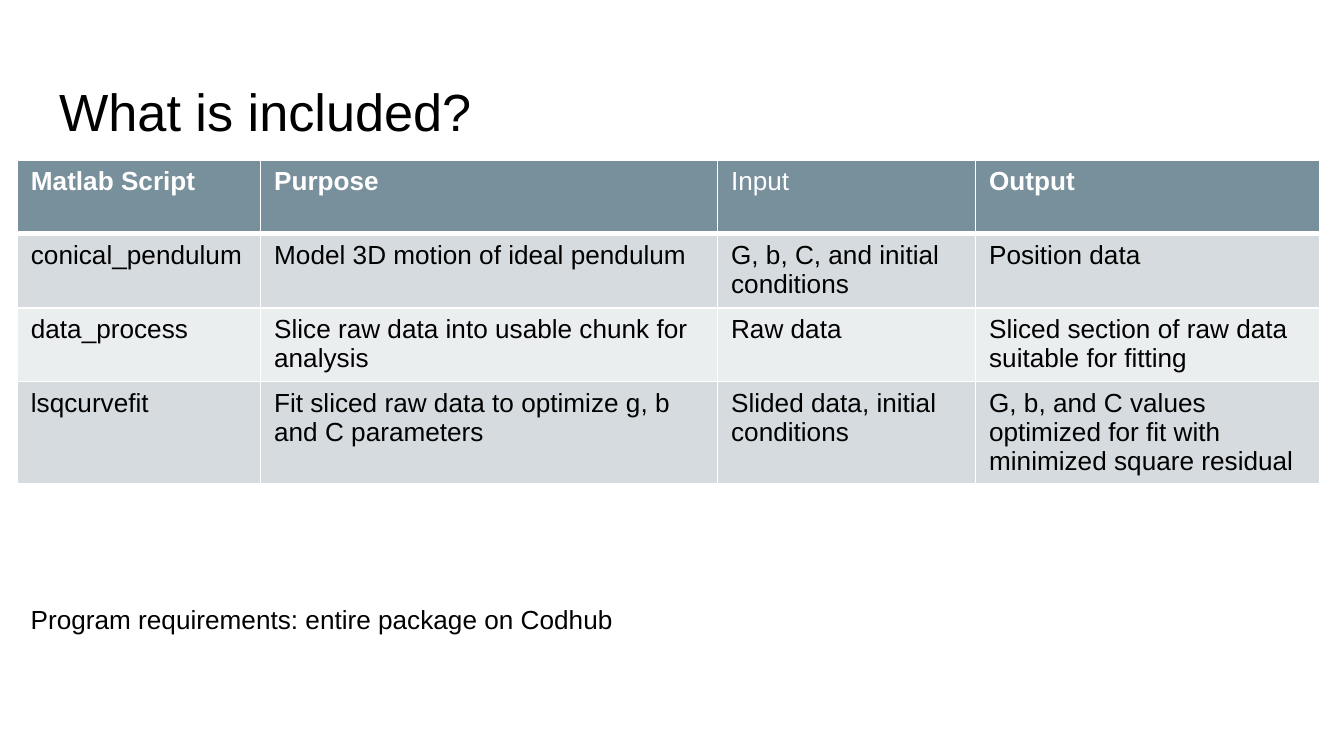
from typing import NamedTuple

from lxml import etree
from pptx import Presentation, util as u
from pptx.dml.color import RGBColor
from pptx.enum import text
from pptx.oxml import ns

WHITE = RGBColor(0xFF, 0xFF, 0xFF)
BLACK = RGBColor(0x00, 0x00, 0x00)
HEADER = RGBColor(0x78, 0x90, 0x9C)
BAND_DARK = RGBColor(0xD5, 0xDB, 0xDE)
BAND_LIGHT = RGBColor(0xEB, 0xEE, 0xEF)
FONT = "Arial"
ROW_HEIGHT = 0.55


class Script(NamedTuple):
    name: str
    purpose: str
    needs: str
    output: str


class Widths(NamedTuple):
    name: float
    purpose: float
    needs: float
    output: float


HEADINGS = Script("Matlab Script", "Purpose", "Input", "Output")
SCRIPTS = [
    Script("conical_pendulum", "Model 3D motion of ideal pendulum",
           "G, b, C, and initial conditions", "Position data"),
    Script("data_process", "Slice raw data into usable chunk for analysis",
           "Raw data", "Sliced section of raw data suitable for fitting"),
    Script("lsqcurvefit", "Fit sliced raw data to optimize g, b and C parameters",
           "Slided data, initial conditions",
           "G, b, and C values optimized for fit with minimized square residual"),
]
COLUMN_WIDTHS = Widths(1.81, 3.4, 1.92, 2.56)


def style(para, size: int, color: RGBColor, bold: bool = False) -> None:
    para.font.name = FONT
    para.font.size = u.Pt(size)
    para.font.bold = bold
    para.font.color.rgb = color


def set_border(cell, side: str, points: int) -> None:
    properties = cell._tc.get_or_add_tcPr()
    line = etree.Element(ns.qn(f"a:ln{side}"), w=str(u.Pt(points)))
    fill = etree.SubElement(line, ns.qn("a:solidFill"))
    etree.SubElement(fill, ns.qn("a:srgbClr"), val=str(WHITE))
    properties.insert("LRTB".index(side), line)


def draw_table(page) -> None:
    rows = [HEADINGS, *SCRIPTS]
    frame = page.shapes.add_table(
        len(rows), len(COLUMN_WIDTHS), u.Inches(0.13), u.Inches(1.19),
        u.Inches(sum(COLUMN_WIDTHS)), u.Inches(ROW_HEIGHT * len(rows)))
    table = frame.table
    for column, width in zip(table.columns, COLUMN_WIDTHS):
        column.width = u.Inches(width)
    for i, row in enumerate(rows):
        is_header = i == 0
        band = HEADER if is_header else BAND_DARK if i % 2 else BAND_LIGHT
        for j, words in enumerate(row):
            cell = table.cell(i, j)
            cell.text = words
            cell.fill.solid()
            cell.fill.fore_color.rgb = band
            style(cell.text_frame.paragraphs[0], 14, WHITE if is_header else BLACK,
                  bold=is_header and words != HEADINGS.needs)
            for side in "LRTB":
                thick = (is_header and side == "B") or (i == 1 and side == "T")
                set_border(cell, side, 3 if thick else 1)


def draw_title(page) -> None:
    title = page.shapes.title
    title.left, title.top = u.Inches(0.34), u.Inches(0.49)
    title.width, title.height = u.Inches(9.32), u.Inches(0.63)
    frame = title.text_frame
    frame.text = "What is included?"
    frame.auto_size = text.MSO_AUTO_SIZE.NONE
    frame.vertical_anchor = text.MSO_ANCHOR.TOP
    frame.margin_top = frame.margin_bottom = u.Inches(0.1)
    para = frame.paragraphs[0]
    para.alignment = text.PP_ALIGN.LEFT
    style(para, 28, BLACK)


def draw_requirements(page) -> None:
    box = page.shapes.add_textbox(
        u.Inches(0.13), u.Inches(4.44), u.Inches(4.56), u.Inches(0.34))
    box.text_frame.word_wrap = True
    box.text_frame.text = "Program requirements: entire package on Codhub"
    style(box.text_frame.paragraphs[0], 14, BLACK)


def main() -> None:
    deck = Presentation()
    deck.slide_width = u.Inches(10)
    deck.slide_height = deck.slide_width * 9 // 16
    page = deck.slides.add_slide(deck.slide_layouts[5])
    draw_title(page)
    draw_table(page)
    draw_requirements(page)
    deck.save("out.pptx")


if __name__ == "__main__":
    main()
